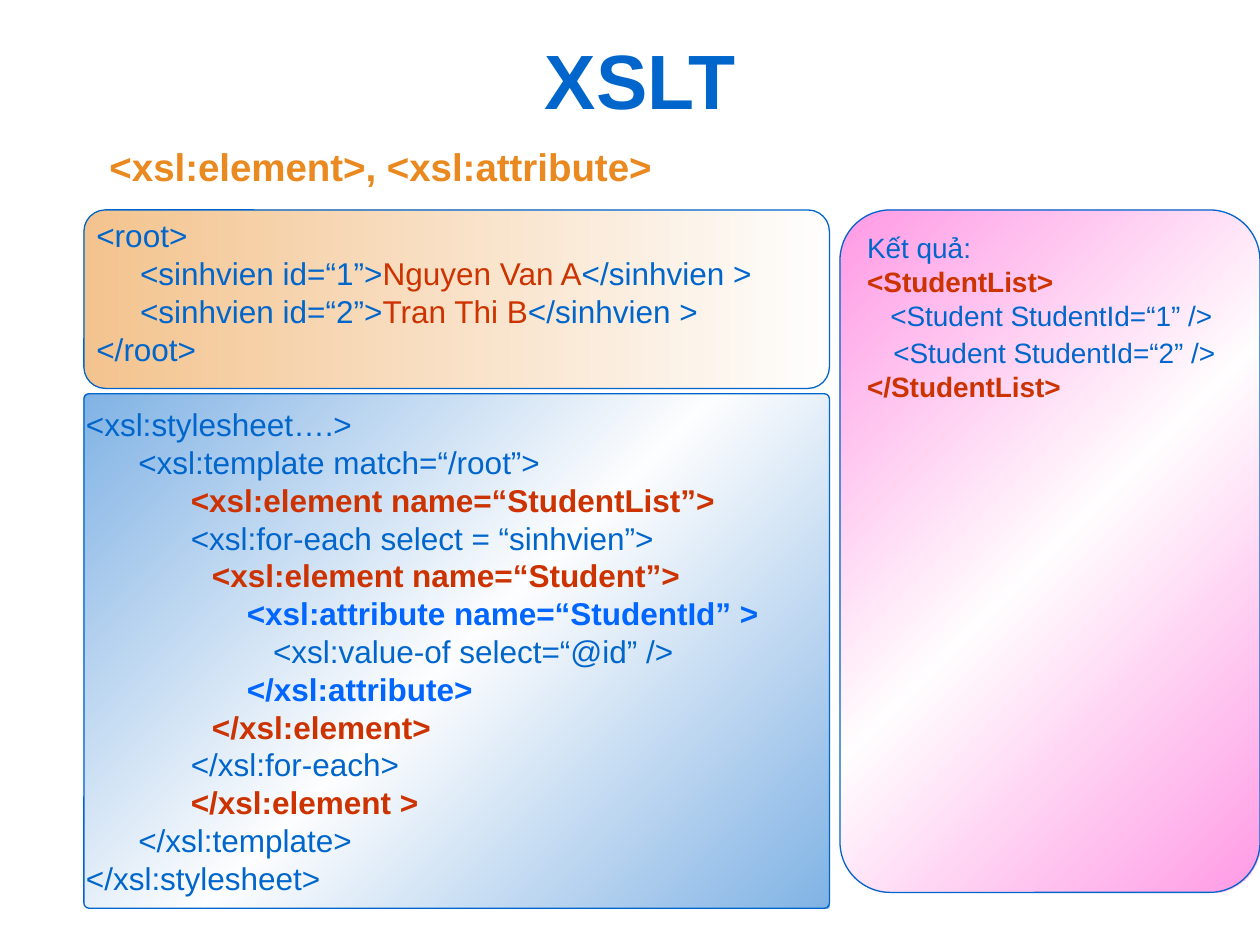
from pptx import Presentation
from pptx.dml.color import RGBColor
from pptx.enum.shapes import MSO_SHAPE
from pptx.enum.text import MSO_ANCHOR, MSO_AUTO_SIZE, PP_ALIGN
from pptx.oxml import parse_xml
from pptx.oxml.ns import nsdecls
from pptx.util import Inches, Pt

COLORS = {"blue": "0066CC", "bright": "0066FF", "red": "CC3300",
          "orange": "E9891F", "pink": "FF33CC", "white": "FFFFFF"}
FONT = "Arial"
COLS, ROWS = 120, 90
BOLD = {"red", "bright"}

SOURCE = [
    [("<root>", "blue")],
    [("     <sinhvien id=“1”>", "blue"), ("Nguyen Van A", "red", False), ("</sinhvien >", "blue")],
    [("     <sinhvien id=“2”>", "blue"), ("Tran Thi B", "red", False), ("</sinhvien >", "blue")],
    [("</root>", "blue")],
]
STYLESHEET = [
    [("<xsl:stylesheet….>", "blue")],
    [("      <xsl:template match=“/root”>", "blue")],
    [("            <xsl:element name=“StudentList”>", "red")],
    [("            <xsl:for-each select = “sinhvien”>", "blue")],
    [("\t<xsl:element name=“Student”>", "red")],
    [("\t    <xsl:attribute name=“StudentId” >", "bright")],
    [("\t       <xsl:value-of select=“@id” />", "blue")],
    [("\t    </xsl:attribute>", "bright")],
    [("\t</xsl:element>", "red")],
    [("            </xsl:for-each>", "blue")],
    [("            </xsl:element >", "red")],
    [("      </xsl:template>", "blue")],
    [("</xsl:stylesheet>", "blue")],
]
RESULT = [
    [("Kết quả:", "blue")],
    [("<StudentList>", "red")],
    [("   <Student StudentId=“1” />", "blue")],
    [("   ", "blue", False, 18), ("<Student StudentId=“2” />", "blue")],
    [("</StudentList>", "red")],
]


def rgb(name):
    """Return the named colour."""
    return RGBColor.from_string(COLORS[name])


def grid(prs, col, row, cols, rows):
    """Turn grid columns and rows into a left, top, width, height box."""
    cw, rh = prs.slide_width / COLS, prs.slide_height / ROWS
    return [round(v) for v in (col * cw, row * rh, cols * cw, rows * rh)]


def add_panel(s, box, radius, stops, angle):
    """Add a rounded panel with a half-transparent gradient."""
    sp = s.shapes.add_shape(MSO_SHAPE.ROUNDED_RECTANGLE, *box)
    sp.adjustments[0] = radius
    sp.shadow.inherit = False
    sp.line.color.rgb = rgb("blue")
    sp.line.width = Pt(0.75)
    last = len(stops) - 1
    gs = "".join(
        f'<a:gs pos="{100000 * i // last}"><a:srgbClr val="{COLORS[c]}">'
        f'<a:alpha val="50000"/></a:srgbClr></a:gs>' for i, c in enumerate(stops))
    sp.fill.background()
    no_fill = sp._element.spPr.find("{*}noFill")
    no_fill.getparent().replace(no_fill, parse_xml(
        f'<a:gradFill {nsdecls("a")} rotWithShape="1"><a:gsLst>{gs}</a:gsLst>'
        f'<a:lin ang="{angle * 60000}" scaled="0"/></a:gradFill>'))
    return sp


def write_code(sp, lines, size):
    """Write coloured code lines into a shape, one paragraph a line."""
    tf = sp.text_frame
    tf.word_wrap = True
    tf.vertical_anchor = MSO_ANCHOR.TOP
    for i, line in enumerate(lines):
        p = tf.add_paragraph() if i else tf.paragraphs[0]
        p.alignment = PP_ALIGN.LEFT
        if line[0][0].startswith("\t"):
            p._p.get_or_add_pPr().append(parse_xml(
                f'<a:tabLst {nsdecls("a")}><a:tab pos="{Inches(1)}" algn="l"/></a:tabLst>'))
        p.font.name = FONT
        for text, color, *style in line:
            r = p.add_run()
            r.text = text
            r.font.name = FONT
            r.font.color.rgb = rgb(color)
            r.font.bold = style[0] if style else color in BOLD
            r.font.size = Pt(style[1] if len(style) > 1 else size)


def add_code(s, box, lines, size=18):
    """Add a text box of code lines."""
    write_code(s.shapes.add_textbox(*box), lines, size)


def set_title(s, box, text):
    """Place and format the title placeholder."""
    sp = s.shapes.title
    sp.left, sp.top, sp.width, sp.height = box
    tf = sp.text_frame
    tf.text = text
    tf.auto_size = MSO_AUTO_SIZE.NONE
    tf.vertical_anchor = MSO_ANCHOR.MIDDLE
    p = tf.paragraphs[0]
    p.alignment = PP_ALIGN.CENTER
    p.font.name, p.font.size, p.font.bold = FONT, Pt(44), True
    p.font.color.rgb = rgb("blue")


def main():
    """Build the slide and save it."""
    prs = Presentation()
    prs.slide_width, prs.slide_height = Inches(10), Inches(7.5)
    s = prs.slides.add_slide(prs.slide_layouts[5])
    set_title(s, grid(prs, 7, 2.5, 108, 10), "XSLT")
    add_panel(s, grid(prs, 8, 20, 71, 17), 0.12, ["white", "orange"], 180)
    add_code(s, grid(prs, 9.25, 13, 78, 5.6),
             [[("<xsl:element>, <xsl:attribute>", "orange", True)]], 22)
    add_code(s, grid(prs, 8, 20, 68, 15.6), SOURCE)
    add_panel(s, grid(prs, 8, 37.5, 71, 49), 0.01, ["blue", "white", "blue"], 225)
    add_code(s, grid(prs, 7, 38, 70, 48), STYLESHEET)
    result = add_panel(s, grid(prs, 80, 20, 40, 65), 0.12, ["pink", "white", "pink"], 225)
    write_code(result, RESULT, 16)
    prs.save("out.pptx")


if __name__ == "__main__":
    main()
